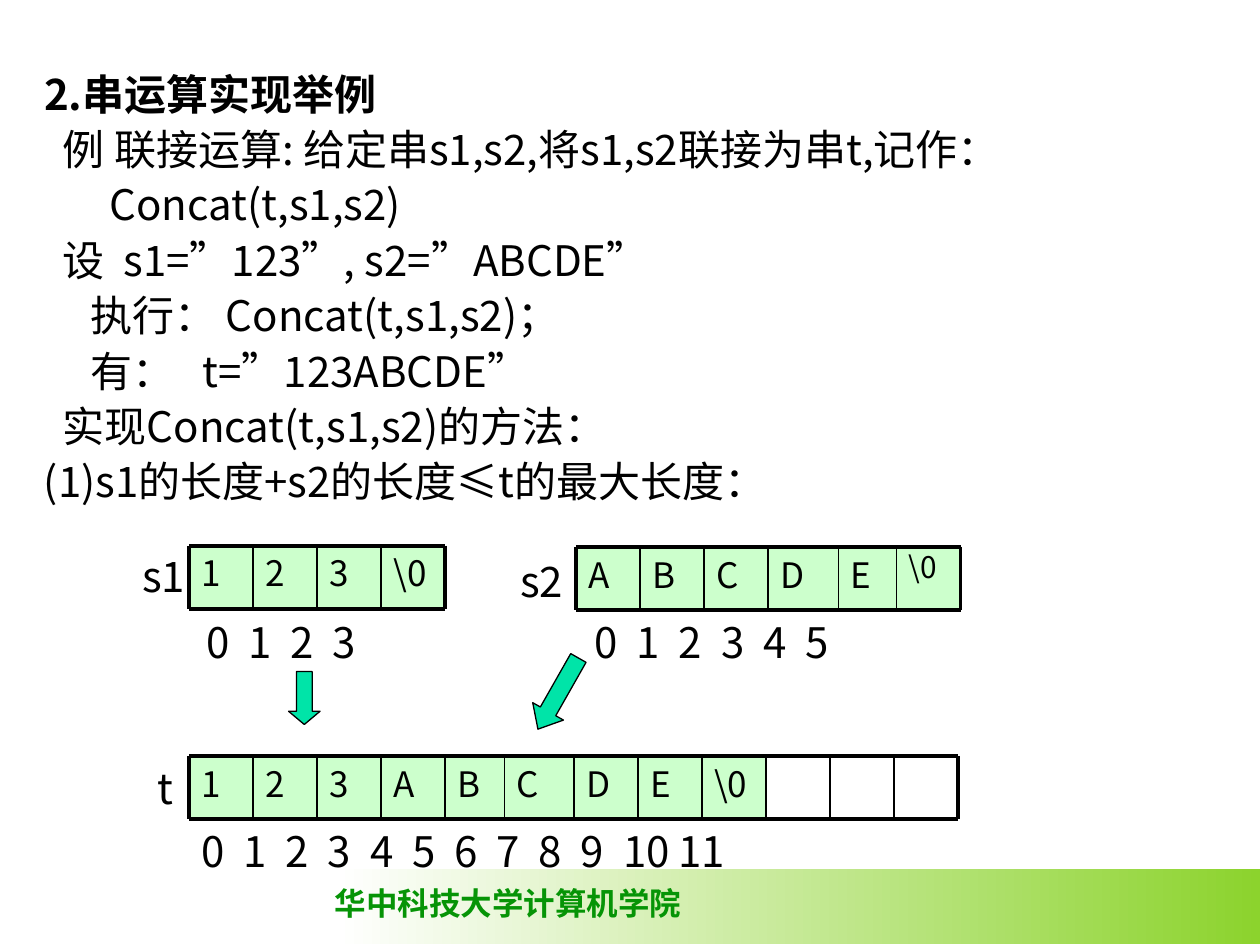
from itertools import accumulate

from lxml.etree import SubElement
from pptx import Presentation
from pptx.dml.color import RGBColor
from pptx.enum.shapes import MSO_CONNECTOR, MSO_SHAPE
from pptx.enum.text import MSO_ANCHOR, MSO_AUTO_SIZE, PP_ALIGN
from pptx.oxml.ns import qn
from pptx.util import Inches, Pt

SANS = "Noto Sans CJK SC"
SERIF = "Times New Roman"
BLACK = "000000"
CELL_GREEN = "CCFFCC"
ARROW_GREEN = "00E4A8"
CELL = 6.1 / 12
CELL_HEIGHT = 0.5
INDEX_STEP = 24.1
TWO_DIGIT_EXTRA = 7.5

BODY_LINES = [
    (0.15, "例 联接运算: 给定串s1,s2,将s1,s2联接为串t,记作："),
    (0.52, "Concat(t,s1,s2)"),
    (0.15, "设  s1=”123”, s2=”ABCDE”"),
    (0.37, "执行： Concat(t,s1,s2)；"),
    (0.37, "有：   t=”123ABCDE”"),
    (0.15, "实现Concat(t,s1,s2)的方法："),
    (0, "(1)s1的长度+s2的长度≤t的最大长度："),
]


def color(value):
    return RGBColor.from_string(value)


def format_span(span, size, fill=BLACK, bold=False, font=SANS):
    span.font.size = Pt(size)
    span.font.bold = bold
    span.font.name = font
    span.font.color.rgb = color(fill)
    east_asian = SubElement(span.font._element, qn("a:ea"))
    east_asian.set("typeface", SANS)


def add_label(page, text, left, top, width, height, size=24, wrap=False, **style):
    box = page.shapes.add_textbox(Inches(left), Inches(top), Inches(width), Inches(height))
    box.text_frame.word_wrap = wrap
    box.text_frame.text = text
    para = box.text_frame.paragraphs[0]
    format_span(para.runs[0], size, **style)
    return para


def add_title(page, left, top, width, height):
    title = page.shapes.title
    title.left, title.top = Inches(left), Inches(top)
    title.width, title.height = Inches(width), Inches(height)
    frame = title.text_frame
    frame.text = "2.串运算实现举例"
    frame.vertical_anchor = MSO_ANCHOR.TOP
    frame.auto_size = MSO_AUTO_SIZE.NONE
    para = frame.paragraphs[0]
    para.alignment = PP_ALIGN.LEFT
    para.line_spacing = 1.1
    para.space_before = Pt(0)
    format_span(para.runs[0], 24, bold=True)


def add_body(page, left, top, width, height):
    box = page.shapes.add_textbox(Inches(left), Inches(top), Inches(width), Inches(height))
    frame = box.text_frame
    frame.word_wrap = True
    for number, (indent, text) in enumerate(BODY_LINES):
        para = frame.add_paragraph() if number else frame.paragraphs[0]
        para.line_spacing = 1.1
        para._p.get_or_add_pPr().set("marL", str(Inches(indent)))
        for position, part in enumerate(text.split("”")):
            if position:
                quote = para.add_run()
                quote.text = "”"
                format_span(quote, 24, font=SERIF)
            if part:
                span = para.add_run()
                span.text = part
                format_span(span, 24)


def add_rule(group, x1, y1, x2, y2, weight):
    rule = group.shapes.add_connector(
        MSO_CONNECTOR.STRAIGHT, Inches(x1), Inches(y1), Inches(x2), Inches(y2))
    rule.line.color.rgb = color(BLACK)
    rule.line.width = Pt(weight)
    SubElement(rule._element.spPr, qn("a:effectLst"))


def add_cell(group, text, left, top, width, size):
    cell = group.shapes.add_shape(
        MSO_SHAPE.RECTANGLE, Inches(left), Inches(top), Inches(width), Inches(CELL_HEIGHT))
    cell.shadow.inherit = False
    cell.fill.solid()
    cell.fill.fore_color.rgb = color(CELL_GREEN)
    cell.line.fill.background()
    frame = cell.text_frame
    frame.vertical_anchor = MSO_ANCHOR.TOP
    frame.text = text
    para = frame.paragraphs[0]
    para.alignment = PP_ALIGN.LEFT
    para.space_before = Pt(5)
    format_span(para.runs[0], size)
    return para


def add_string_row(page, values, widths, left, top, end_size=20):
    group = page.shapes.add_group_shape()
    edges = list(accumulate(widths, initial=left))
    for value, edge, width in zip(values, edges, widths):
        size = end_size if value == "\\0" else 20
        para = add_cell(group, value, edge, top, width, size)
        if size < 20:
            para.line_spacing = 0.9
    bottom = top + CELL_HEIGHT
    for y in (top, bottom):
        add_rule(group, left, y, edges[-1], y, 2.25)
    for edge in edges:
        outer = edge in (edges[0], edges[-1])
        add_rule(group, edge, top, edge, bottom, 2.25 if outer else 1)


def add_indexes(page, count, left, top, width):
    labels = "\t".join(str(number) for number in range(count))
    para = add_label(page, labels, left, top, width, 0.42, wrap=True)
    para.line_spacing = 0.8
    tabs = SubElement(para._p.get_or_add_pPr(), qn("a:tabLst"))
    for number in range(1, count):
        stop = number * INDEX_STEP + (TWO_DIGIT_EXTRA if number > 10 else 0)
        SubElement(tabs, qn("a:tab"), pos=str(Pt(stop)), algn="l")


def add_arrow(page, left, top, width, height, head, rotation=0):
    arrow = page.shapes.add_shape(
        MSO_SHAPE.DOWN_ARROW, Inches(left), Inches(top), Inches(width), Inches(height))
    arrow.shadow.inherit = False
    arrow.adjustments[1] = head
    arrow.rotation = rotation
    arrow.fill.solid()
    arrow.fill.fore_color.rgb = color(ARROW_GREEN)
    arrow.line.color.rgb = color(BLACK)
    arrow.line.width = Pt(0.75)


def add_footer(page, left, top, width, height):
    band = page.shapes.add_shape(
        MSO_SHAPE.RECTANGLE, Inches(left), Inches(top), Inches(width), Inches(height))
    band.shadow.inherit = False
    band.line.fill.background()
    band.fill.gradient()
    band.fill.gradient_angle = 0
    for stop, position, shade in zip(band.fill.gradient_stops, (0, 1), ("FFFFFF", "8CD32D")):
        stop.position = position
        stop.color.rgb = color(shade)
    add_label(page, "华中科技大学计算机学院", left - 0.11, top + 0.07, 2.95, 0.4,
              size=18, fill="069406", bold=True, font=SERIF)


def main():
    deck = Presentation()
    deck.slide_width, deck.slide_height = Inches(10), Inches(7.5)
    page = deck.slides.add_slide(deck.slide_layouts[5])
    add_footer(page, 2.67, 6.9, 7.33, 0.59)
    add_title(page, 0.25, 0.45, 9.7, 0.44)
    add_body(page, 0.25, 0.89, 9.7, 3.18)

    add_string_row(page, ["1", "2", "3", "\\0"], [CELL] * 4, 1.5, 4.33)
    add_string_row(page, [*"ABCDE", "\\0"],
                   [CELL] * 3 + [0.56, 0.46, CELL], 4.57, 4.34, end_size=17)
    add_string_row(page, [*"123ABCDE", "\\0"],
                   [CELL] * 4 + [0.47, 0.55] + [CELL] * 6, 1.5, 6)

    for name, left, top, width in (("s1", 1.03, 4.32, 0.55), ("s2", 4.03, 4.36, 0.55),
                                   ("t", 1.15, 6, 0.32)):
        add_label(page, name, left, top, width, 0.5)
    for count, left, top, width in ((4, 1.54, 4.92, 2.16), (6, 4.62, 4.92, 3),
                                    (12, 1.5, 6.58, 6.5)):
        add_indexes(page, count, left, top, width)

    add_arrow(page, 2.29, 5.33, 0.25, 0.42, 0.42)
    add_arrow(page, 4.29, 5.18, 0.28, 0.65, 0.58, rotation=29.6)
    deck.save("out.pptx")


if __name__ == "__main__":
    main()
